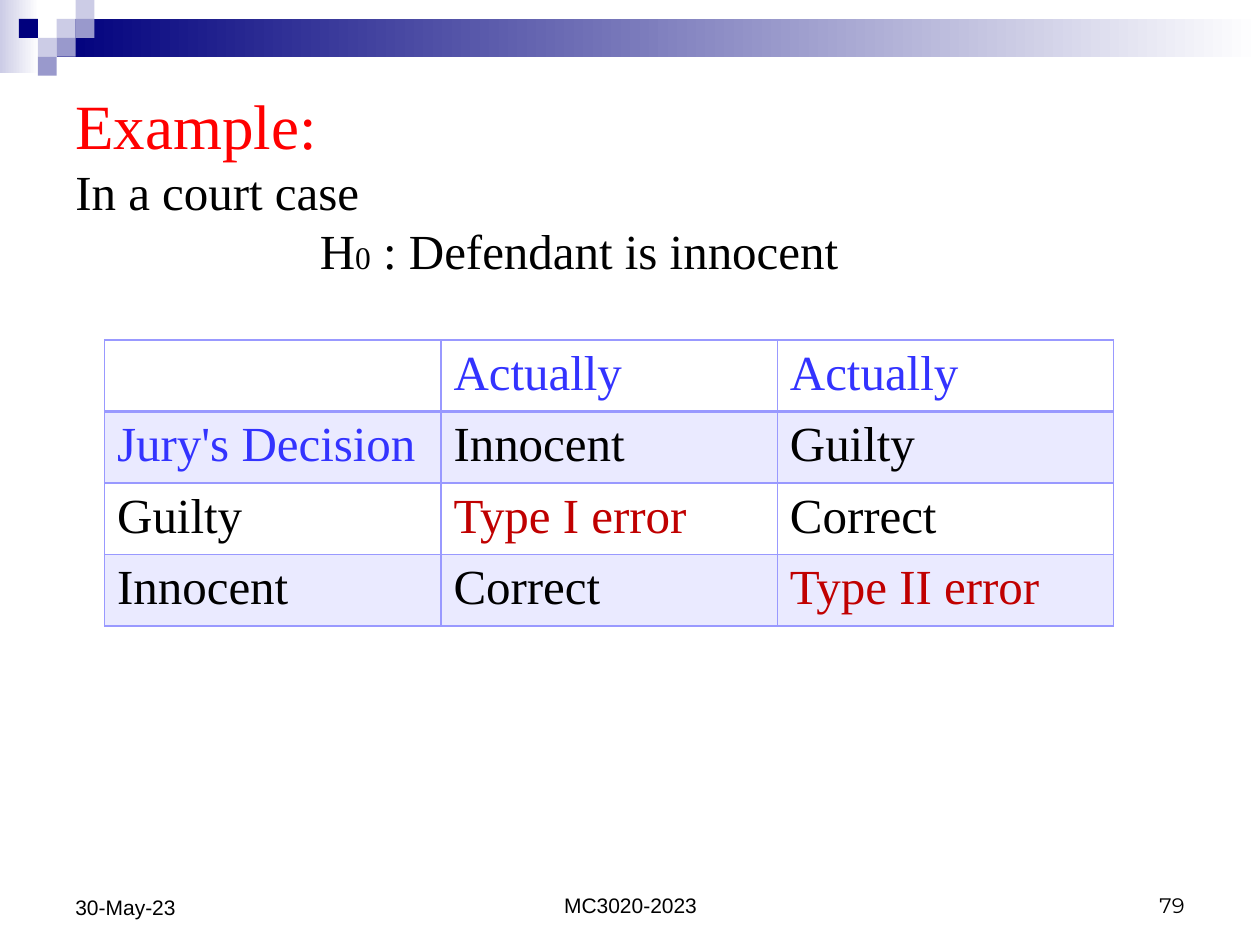
from lxml.etree import SubElement
from pptx import Presentation
from pptx.dml.color import RGBColor
from pptx.enum.shapes import MSO_SHAPE
from pptx.enum.text import MSO_ANCHOR, PP_ALIGN
from pptx.oxml import parse_xml
from pptx.oxml.ns import nsdecls, qn
from pptx.util import Inches, Pt

SERIF = "Times New Roman"
NAVY, LAVENDER, MID_LAVENDER, WHITE = "00007D", "CCCCE6", "9999CC", "FFFFFF"
RED, DARK_RED, BLUE, BLACK, PERIWINKLE = "FF0000", "C00000", "3333FF", "000000", "9999FF"
UNIT = 0.15  # side of one decorative square


def color(hex_code):
    return RGBColor.from_string(hex_code)


def write(paragraph, text, size=28, font=SERIF, fill=BLACK, align=PP_ALIGN.LEFT):
    paragraph.alignment = align
    run = paragraph.add_run()
    run.text = text
    run.font.size = Pt(size)
    run.font.name = font
    run.font.color.rgb = color(fill)


def add_block(slide, left, top, width, height, fill, fade_to=None):
    block = slide.shapes.add_shape(MSO_SHAPE.RECTANGLE, Inches(left), Inches(top),
                                   Inches(width), Inches(height))
    block.shadow.inherit = False
    block.line.fill.background()
    if fade_to:
        block.fill.gradient()
        block.fill.gradient_angle = 0
        for stop, shade in zip(block.fill.gradient_stops, (fill, fade_to)):
            stop.color.rgb = color(shade)
    else:
        block.fill.solid()
        block.fill.fore_color.rgb = color(fill)


def add_text_frame(slide, left, top, width, height, anchor):
    box = slide.shapes.add_textbox(Inches(left), Inches(top), Inches(width), Inches(height))
    frame = box.text_frame
    frame.word_wrap = True
    frame.vertical_anchor = anchor
    return frame


def add_header_band(slide):
    add_block(slide, 0, 0, 0.31, 0.58, LAVENDER, fade_to=WHITE)
    add_block(slide, 0.45, 0.15, 9.55, 0.3, NAVY, fade_to=WHITE)
    # Column, row and colour of each square
    squares = [(3, 1, LAVENDER), (4, 0, LAVENDER), (4, 1, MID_LAVENDER), (2, 2, LAVENDER),
               (1, 1, NAVY), (3, 2, MID_LAVENDER), (2, 3, MID_LAVENDER)]
    for column, row, fill in squares:
        add_block(slide, column * UNIT, row * UNIT, UNIT, UNIT, fill)


def add_heading(slide):
    frame = add_text_frame(slide, 0.5, 0.7, 9, 1.5, MSO_ANCHOR.MIDDLE)
    write(frame.paragraphs[0], "Example:", size=36, fill=RED)
    write(frame.add_paragraph(), "In a court case")
    hypothesis = frame.add_paragraph()
    hypothesis._p.get_or_add_pPr().set("marL", str(Inches(1.94)))
    write(hypothesis, "H")
    write(hypothesis, "0", size=18)
    write(hypothesis, " : Defendant is innocent")


def style_cell(cell, shaded, top_width, bottom_width):
    if shaded:
        cell.fill.solid()
        cell.fill.fore_color.rgb = color(PERIWINKLE)
        tint = cell._tc.tcPr.find(".//" + qn("a:srgbClr"))
        SubElement(tint, qn("a:alpha")).set("val", "20000")
    else:
        cell.fill.background()
    # Borders come before the fill in the cell properties
    edges = (("lnL", 1), ("lnR", 1), ("lnT", top_width), ("lnB", bottom_width))
    for index, (edge, width) in enumerate(edges):
        cell._tc.tcPr.insert(index, parse_xml(
            f'<a:{edge} {nsdecls("a")} w="{Pt(width)}"><a:solidFill>'
            f'<a:srgbClr val="{PERIWINKLE}"/></a:solidFill></a:{edge}>'))


def add_decision_table(slide):
    rows = [
        ["", "Actually", "Actually"],
        ["Jury's Decision", "Innocent", "Guilty"],
        ["Guilty", "Type I error", "Correct"],
        ["Innocent", "Correct", "Type II error"],
    ]
    text_fills = {"Actually": BLUE, "Jury's Decision": BLUE,
                  "Type I error": DARK_RED, "Type II error": DARK_RED}
    table = slide.shapes.add_table(len(rows), len(rows[0]), Inches(0.83), Inches(2.7),
                                   Inches(8.01), Inches(2.12)).table
    table.first_row = False
    table.horz_banding = False
    for r, row in enumerate(rows):
        for c, text in enumerate(row):
            cell = table.cell(r, c)
            style_cell(cell, shaded=r % 2 == 1, top_width=2 if r == 1 else 1,
                       bottom_width=2 if r == 0 else 1)
            if text:
                write(cell.text_frame.paragraphs[0], text, fill=text_fills.get(text, BLACK))


def add_footer(slide):
    footers = [
        ("30-May-23", 0.5, 2.33, 0.52, "Arial", PP_ALIGN.LEFT),
        ("79", 7.17, 2.33, 0.5, "Montserrat", PP_ALIGN.RIGHT),
        ("MC3020-2023", 3.42, 3.17, 0.5, "Arial", PP_ALIGN.CENTER),
    ]
    for text, left, width, height, font, align in footers:
        frame = add_text_frame(slide, left, 6.83, width, height, MSO_ANCHOR.BOTTOM)
        write(frame.paragraphs[0], text, size=12, font=font, align=align)


def main():
    presentation = Presentation()
    presentation.slide_width = Inches(10)
    presentation.slide_height = Inches(7.5)
    slide = presentation.slides.add_slide(presentation.slide_layouts[6])
    add_header_band(slide)
    add_heading(slide)
    add_decision_table(slide)
    add_footer(slide)
    presentation.save("out.pptx")


if __name__ == "__main__":
    main()
